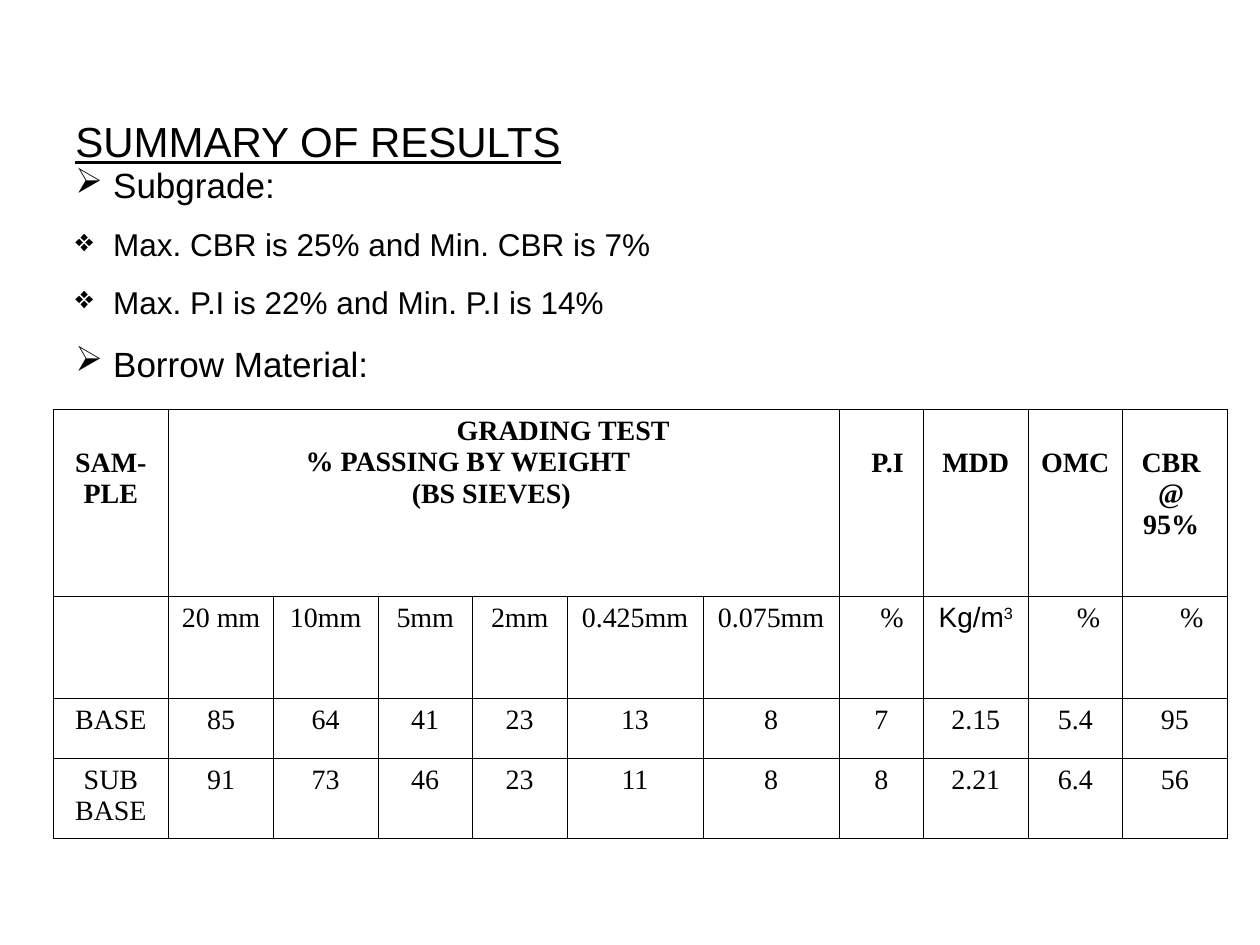
import lxml.etree
import pptx
import pptx.dml.color
import pptx.enum.text
import pptx.oxml.ns
import pptx.util

Inches = pptx.util.Inches
Pt = pptx.util.Pt
qn = pptx.oxml.ns.qn
COLORS = {"ink": "000000"}
SERIF = "Times New Roman"
COLS = [0.92, 0.83, 0.83, 0.75, 0.75, 1.08, 1.08, 0.67, 0.83, 0.75, 0.83]
ROWS = [1.48, 0.81, 0.48, 0.63]
GRADING = "GRADING TEST\n% PASSING BY WEIGHT\n(BS SIEVES)"
CELLS = [
    ["SAM-\nPLE", GRADING, "", "", "", "", "", "P.I", "MDD", "OMC", "CBR\n@\n95%"],
    ["", "20 mm", "10mm", "5mm", "2mm", "0.425mm", "0.075mm", "%", "Kg/m", "%", "%"],
    ["BASE", "85", "64", "41", "23", "13", "8", "7", "2.15", "5.4", "95"],
    ["SUB\nBASE", "91", "73", "46", "23", "11", "8", "8", "2.21", "6.4", "56"],
]
SHIFTS = {
    (0, 1): [0.94, -0.57, 0.37],
    (0, 7): [0.1],
    (0, 10): [-0.06, -0.06, 0],
    (1, 7): [0.17],
    (1, 9): [0.21],
    (1, 10): [0.27],
}
POINTS = [
    ("➢", "Subgrade:", 20, 0),
    ("❖", "Max. CBR is 25% and Min. CBR is 7%", 18, 11.2),
    ("❖", "Max. P.I is 22% and Min. P.I is 14%", 18, 11.2),
    ("➢", "Borrow Material:", 20, 12.5),
]


def apply(item, style):
    """Set each attribute of item named in style."""
    for key, value in style.items():
        setattr(item, key, value)


def paint(font, size, name="Arial", **more):
    """Give a font its size, face, colour and other values."""
    apply(font, {"size": Pt(size), "name": name, **more})
    font.color.rgb = pptx.dml.color.RGBColor.from_string(COLORS["ink"])


def add_frame(slide, box, inset=0.05):
    """Add a wrapping text box with a given top inset."""
    frame = slide.shapes.add_textbox(*map(Inches, box)).text_frame
    apply(frame, {"word_wrap": True, "margin_top": Inches(inset)})
    return frame


def next_para(frame, index):
    """Return the first paragraph or a new one."""
    return frame.add_paragraph() if index else frame.paragraphs[0]


def add_title(slide, box):
    """Place the underlined heading."""
    para = add_frame(slide, box, 0.62).paragraphs[0]
    run = para.add_run()
    run.text = "SUMMARY OF RESULTS"
    paint(run.font, 24, underline=True)


def add_points(slide, box):
    """Place the bulleted findings."""
    frame = add_frame(slide, box)
    for index, (mark, text, size, gap) in enumerate(POINTS):
        para = next_para(frame, index)
        props = para._p.get_or_add_pPr()
        props.set("marL", str(Inches(0.3)))
        props.set("indent", str(-Inches(0.3)))
        color = lxml.etree.SubElement(props, qn("a:buClr"))
        lxml.etree.SubElement(color, qn("a:srgbClr"), val=COLORS["ink"])
        lxml.etree.SubElement(props, qn("a:buChar"), char=mark)
        para.space_before = Pt(gap)
        run = para.add_run()
        run.text = text
        paint(run.font, size)


def add_borders(cell):
    """Draw thin lines on all sides of a cell."""
    props = cell._tc.get_or_add_tcPr()
    for place, side in enumerate(("a:lnL", "a:lnR", "a:lnT", "a:lnB")):
        line = lxml.etree.Element(qn(side), w=str(Pt(0.45)))
        fill = lxml.etree.SubElement(line, qn("a:solidFill"))
        lxml.etree.SubElement(fill, qn("a:srgbClr"), val=COLORS["ink"])
        props.insert(place, line)


def fill_cell(cell, text, shifts, bold, face):
    """Write centred lines, each moved sideways by its shift."""
    for index, words in enumerate(text.split("\n")):
        para = next_para(cell.text_frame, index)
        para.alignment = pptx.enum.text.PP_ALIGN.CENTER
        shift = shifts[index] if shifts else 0
        side = "marL" if shift >= 0 else "marR"
        para._p.get_or_add_pPr().set(side, str(Inches(abs(shift))))
        paint(para.font, 16, face)
        if words:
            run = para.add_run()
            run.text = words
            paint(run.font, 16, face, bold=bold)


def add_power(cell, text):
    """Append a superscript to a cell."""
    run = cell.text_frame.paragraphs[0].add_run()
    run.text = text
    paint(run.font, 16)
    run.font._element.set("baseline", "30000")


def add_results(slide, box):
    """Place the table of test results."""
    table = slide.shapes.add_table(len(ROWS), len(COLS), *map(Inches, box)).table
    apply(table, {"first_row": False, "horz_banding": False})
    for col, width in zip(table.columns, COLS):
        col.width = Inches(width)
    for row, height in zip(table.rows, ROWS):
        row.height = Inches(height)
    table.cell(0, 1).merge(table.cell(0, 6))
    for r, texts in enumerate(CELLS):
        for c, text in enumerate(texts):
            cell = table.cell(r, c)
            top = 0.3 if r == 0 and c != 1 else 0.05
            apply(cell, {"margin_left": Inches(0.08), "margin_right": Inches(0.08),
                         "margin_top": Inches(top)})
            cell.fill.background()
            add_borders(cell)
            face = "Arial" if (r, c) == (1, 8) else SERIF
            fill_cell(cell, text, SHIFTS.get((r, c)), r == 0, face)
    add_power(table.cell(1, 8), "3")


def main():
    """Build the slide and save it."""
    deck = pptx.Presentation()
    apply(deck, {"slide_width": Inches(10), "slide_height": Inches(7.5)})
    slide = deck.slides.add_slide(deck.slide_layouts[6])
    add_title(slide, (0.5, 0.3, 9, 2.78))
    add_results(slide, (0.42, 3.25, sum(COLS), sum(ROWS)))
    add_points(slide, (0.5, 1.25, 9.33, 1.86))
    deck.save("out.pptx")


if __name__ == "__main__":
    main()
